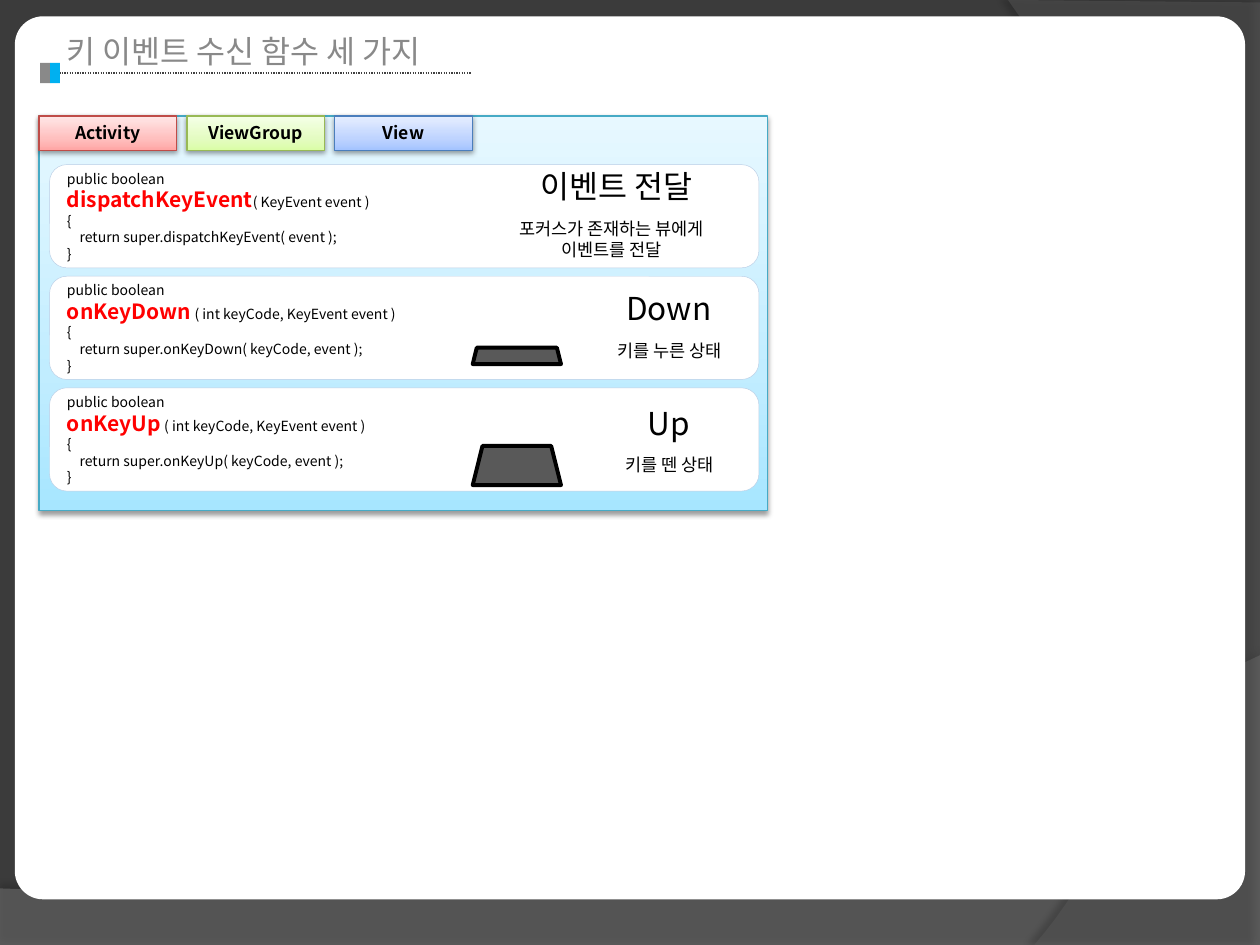
from pptx import Presentation
from pptx.dml.color import RGBColor
from pptx.enum.dml import MSO_LINE
from pptx.enum.shapes import MSO_CONNECTOR, MSO_SHAPE as Kind
from pptx.enum.text import MSO_ANCHOR as Anchor, PP_ALIGN as Align
from pptx.oxml import parse_xml
from pptx.oxml.ns import nsdecls, qn
from pptx.util import Cm, Pt

SANS = "Noto Sans CJK KR"
HUES = {
    "back": "3B3B3B", "low": "7F7F7F", "side": "5E5E5E", "white": "FFFFFF",
    "black": "000000", "grey": "898989", "blue": "00B0F0", "dots": "404040",
    "red": "FF0000", "key": "595959", "edge": "B9CDE5",
}
# Gradient stops from the bottom up, then the outline
SHADES = {
    "sky": (("A7E6FF", "C1EDFF", "E7F8FF"), "46AAC5"),
    "rose": (("FFA6A5", "FFC0BF", "FFE7E7"), "BF4C48"),
    "lime": (("DAFDA7", "E4FCC2", "F5FFE7"), "98B955"),
    "navy": (("A4C4FF", "BFD4FF", "E6EEFF"), "4B7EBC"),
}
STOPS = (0, 35, 100)

TITLE = "키 이벤트 수신 함수 세 가지"
TABS = [("Activity", "rose"), ("ViewGroup", "lime"), ("View", "navy")]
# Boxes are left, top, width, height in cm, with top measured from the card
CARDS = [
    {"name": "dispatchKeyEvent", "args": "( KeyEvent event )", "pass": "event",
     "head": ("이벤트 전달", (10.03, -0.07, 4.78, 1.02)),
     "note": ("포커스가 존재하는 뷰에게 이벤트를 전달", (9.93, 0.95, 4.78, 1.12))},
    {"name": "onKeyDown", "args": " ( int keyCode, KeyEvent event )",
     "pass": "keyCode, event", "key": (9.53, 1.44, 1.78, 0.33),
     "head": ("Down", (12.29, 0.14, 2.39, 1.02)),
     "note": ("키를 누른 상태", (11.91, 1.16, 3.18, 0.69))},
    {"name": "onKeyUp", "args": " ( int keyCode, KeyEvent event )",
     "pass": "keyCode, event", "key": (9.53, 1.17, 1.78, 0.79),
     "head": ("Up", (12.29, 0.21, 2.39, 1.02)),
     "note": ("키를 뗀 상태", (11.91, 1.2, 3.18, 0.69))},
]
PANEL = (0.79, 2.34, 14.68, 7.95)
TAB_W, TAB_H, TAB_STEP = 2.77, 0.69, 2.98
CARD, CARD_STEP = (1, 3.32, 14.3, 2.08), 2.25

deck = Presentation()
deck.slide_width, deck.slide_height = Cm(25.4), Cm(19.05)
slide = deck.slides.add_slide(deck.slide_layouts[6])
slide.background.fill.solid()
slide.background.fill.fore_color.rgb = RGBColor.from_string(HUES["back"])
shapes = slide.shapes


def rgb(name):
    return RGBColor.from_string(HUES.get(name, name))


def paint(shape, fill, line=None, width=0.75):
    shape.shadow.inherit = False
    shape.fill.solid()
    shape.fill.fore_color.rgb = rgb(fill)
    if line:
        shape.line.color.rgb = rgb(line)
        shape.line.width = Pt(width)
    else:
        shape.line.fill.background()
    return shape


def block(kind, box, fill, line=None, width=0.75):
    return paint(shapes.add_shape(kind, *map(Cm, box)), fill, line, width)


def cast(shape, alpha, blur, dist, angle):
    """Add an outer shadow; blur and dist in points."""
    shape._element.spPr.find(qn("a:effectLst")).append(parse_xml(
        f'<a:outerShdw {nsdecls("a")} blurRad="{Pt(blur)}" dist="{Pt(dist)}" '
        f'dir="{angle * 60000}" rotWithShape="0"><a:srgbClr val="000000">'
        f'<a:alpha val="{alpha * 1000}"/></a:srgbClr></a:outerShdw>'))


def shade(box, name):
    """Draw a shadowed rectangle with a three-stop gradient."""
    tones, edge = SHADES[name]
    shape = block(Kind.RECTANGLE, box, "white", edge)
    shape.fill.gradient()
    shape.fill.gradient_angle = 90
    stops = shape._element.spPr.find(qn("a:gradFill")).find(qn("a:gsLst"))
    for old in list(stops):
        stops.remove(old)
    for pos, tone in zip(STOPS, tones):
        stops.append(parse_xml(
            f'<a:gs {nsdecls("a")} pos="{pos * 1000}">'
            f'<a:srgbClr val="{tone}"/></a:gs>'))
    cast(shape, 38, 3.1, 1.6, 90)
    return shape


def write(shape, paras, size=10, font=SANS, hue="black", bold=False,
          align=Align.CENTER, anchor=Anchor.TOP):
    """Fill with paragraphs: each a string, or a list of (text, format) runs."""
    frame = shape.text_frame
    frame.word_wrap = True
    frame.vertical_anchor = anchor
    for i, runs in enumerate(paras):
        para = frame.add_paragraph() if i else frame.paragraphs[0]
        para.alignment = align
        for text, form in [(runs, {})] if isinstance(runs, str) else runs:
            run = para.add_run()
            run.text = text
            run.font.name = font
            run.font.size = Pt(form.get("size", size))
            run.font.bold = form.get("bold", bold)
            run.font.color.rgb = rgb(form.get("hue", hue))
            run.font._element.find(qn("a:latin")).addnext(
                parse_xml(f'<a:ea {nsdecls("a")} typeface="{SANS}"/>'))


def label(text, box, **form):
    write(shapes.add_textbox(*map(Cm, box)), [text], **form)


def curve(a, b, c, d, steps=40):
    """Points along a cubic Bezier from a to d."""
    return [tuple((1 - t) ** 3 * p + 3 * (1 - t) ** 2 * t * q
                  + 3 * (1 - t) * t * t * r + t ** 3 * s
                  for p, q, r, s in zip(a, b, c, d))
            for t in (i / steps for i in range(steps + 1))]


def wave(points, fill, alpha, shadow):
    pts = [(Cm(x), Cm(y)) for x, y in points]
    pen = shapes.build_freeform(*pts[0])
    pen.add_line_segments(pts[1:], close=True)
    shape = paint(pen.convert_to_shape(), fill)
    tint = shape._element.spPr.find(qn("a:solidFill"))[0]
    tint.append(parse_xml(f'<a:alpha {nsdecls("a")} val="{alpha * 1000}"/>'))
    cast(shape, *shadow)


# Backdrop
wave([(0, 19.08), (25.4, 19.08)]
     + curve((25.4, 13.21), (14.2, 18.52), (9.93, 18.26), (0, 17.91)),
     "low", 45, (35, 4, 3.5, 270))
wave([(25.4, 0.05), (25.4, 19.05)]
     + curve((20.85, 19.05), (23.75, 15.72), (25.86, 7.62), (20.32, 0)),
     "side", 40, (45, 4, 4, 180))
page = block(Kind.ROUNDED_RECTANGLE, (0.3, 0.33, 24.8, 17.8), "white")
page.adjustments[0] = 0.032

# Title
label(TITLE, (1.09, 0.53, 14.4, 1.02), size=18, font="Arial", hue="grey",
      align=Align.LEFT)
rule = shapes.add_connector(MSO_CONNECTOR.STRAIGHT,
                            Cm(1.09), Cm(1.47), Cm(9.5), Cm(1.47))
rule.line.color.rgb = rgb("dots")
rule.line.width = Pt(0.75)
rule.line.dash_style = MSO_LINE.ROUND_DOT
rule._element.spPr.append(parse_xml(f'<a:effectLst {nsdecls("a")}/>'))
for i, hue in enumerate(("grey", "blue")):
    block(Kind.RECTANGLE, (0.81 + 0.2 * i, 1.27, 0.2, 0.41), hue)

# Panel with tabs
shade(PANEL, "sky")
for i, (name, tone) in enumerate(TABS):
    tab = shade((PANEL[0] + i * TAB_STEP, PANEL[1], TAB_W, TAB_H), tone)
    write(tab, [name], bold=True)

# Cards
left, first, wide, high = CARD
for i, card in enumerate(CARDS):
    top = first + i * CARD_STEP

    def place(box):
        return (box[0], top + box[1], *box[2:])

    body = block(Kind.ROUNDED_RECTANGLE, (left, top, wide, high),
                 "white", "edge", 0.25)
    name = card["name"]
    write(body, [
        "public boolean",
        [(name, {"size": 12, "hue": "red", "bold": True}), (card["args"], {})],
        "{",
        f"    return super.{name}( {card['pass']} );",
        "}",
    ], size=8, align=Align.LEFT, anchor=Anchor.MIDDLE)
    if "key" in card:
        block(Kind.TRAPEZOID, place(card["key"]), "key", "black", 2.25)
    for part, size in (("head", 18), ("note", 10)):
        text, box = card[part]
        label(text, place(box), size=size)

deck.save("out.pptx")
